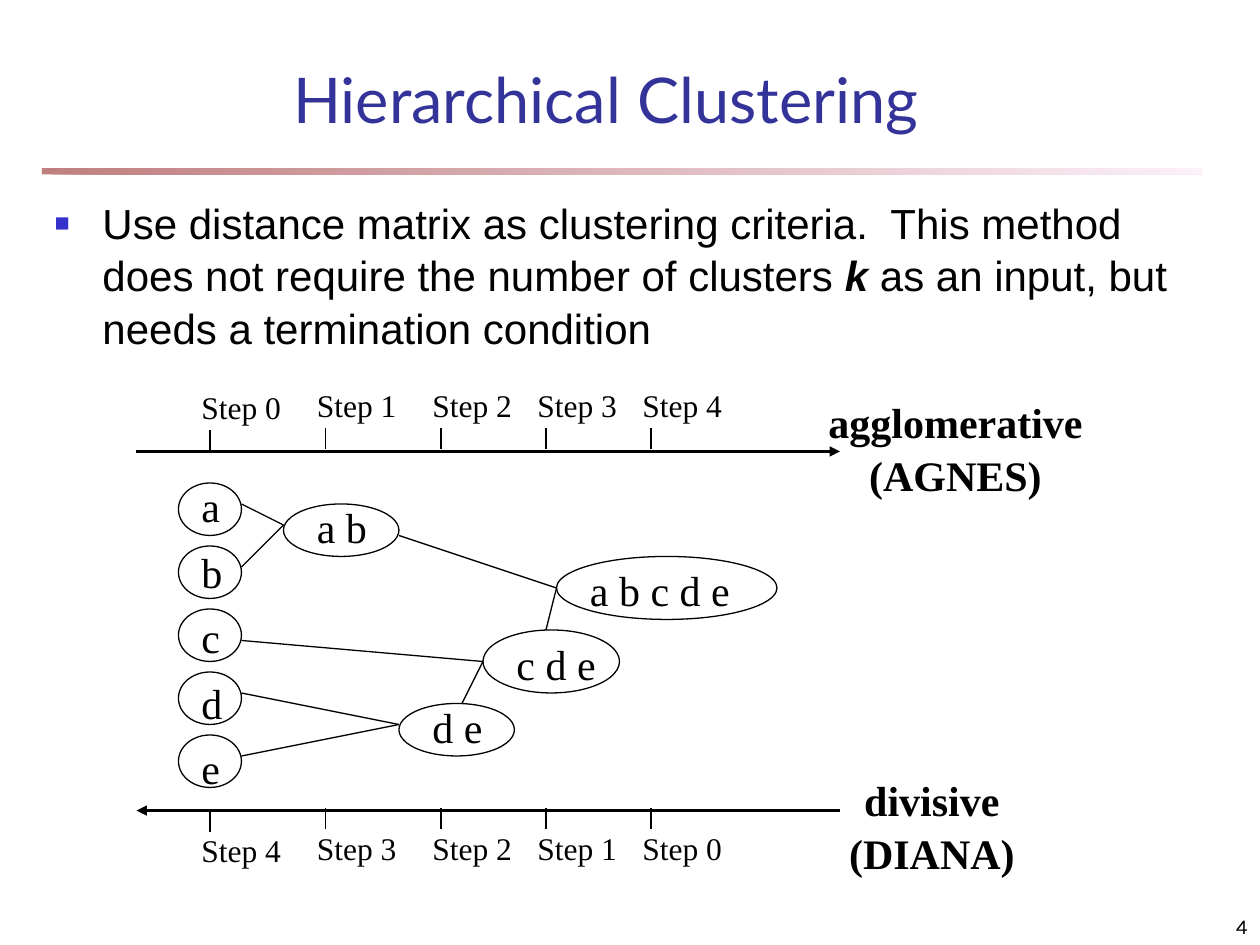
"""Build a slide on agglomerative and divisive hierarchical clustering."""
from dataclasses import dataclass

from lxml import etree
from pptx import Presentation
from pptx.dml.color import RGBColor
from pptx.enum.shapes import MSO_CONNECTOR, MSO_SHAPE
from pptx.enum.text import MSO_ANCHOR, MSO_AUTO_SIZE, PP_ALIGN
from pptx.oxml.ns import qn
from pptx.util import Inches, Pt

STRAIGHT = MSO_CONNECTOR.STRAIGHT
OVAL, RECT = MSO_SHAPE.OVAL, MSO_SHAPE.RECTANGLE
TOP, MIDDLE, BOTTOM = MSO_ANCHOR.TOP, MSO_ANCHOR.MIDDLE, MSO_ANCHOR.BOTTOM
LEFT, CENTER, RIGHT = PP_ALIGN.LEFT, PP_ALIGN.CENTER, PP_ALIGN.RIGHT


@dataclass(frozen=True)
class Theme:
    """Colours, fonts and type sizes."""
    ink: str = "000000"
    title: str = "333399"
    bullet: str = "3333CC"
    rule: tuple = ("800000", "FAE2F6")
    title_font: str = "Lato"
    body_font: str = "Arial"
    diagram_font: str = "Times New Roman"
    number_font: str = "Karla"
    title_size: int = 36
    body_size: int = 24
    step_size: int = 18
    number_size: int = 12


T = Theme()
COLS, ROWS = 120, 90
prs = Presentation()
prs.slide_width, prs.slide_height = Inches(10), Inches(7.5)
CELL = prs.slide_width / COLS
s = prs.slides.add_slide(prs.slide_layouts[1])


def text(paragraphs, box, sp=None, font=T.diagram_font, size=T.body_size, color=T.ink,
         bold=False, align=LEFT, anchor=TOP, wrap=True, spacing=1.04):
    """Write paragraphs, each a list of (text, emphasis) runs, in a box of grid cells."""
    left, top, width, height = (round(v * CELL) for v in box)
    sp = sp or s.shapes.add_textbox(left, top, width, height)
    sp.left, sp.top, sp.width, sp.height = left, top, width, height
    tf = sp.text_frame
    tf.auto_size, tf.word_wrap, tf.vertical_anchor = MSO_AUTO_SIZE.NONE, wrap, anchor
    for i, runs in enumerate(paragraphs):
        p = tf.add_paragraph() if i else tf.paragraphs[0]
        p.alignment, p.line_spacing = align, spacing
        for content, emphasis in runs:
            r = p.add_run()
            r.text = content
            r.font.name, r.font.size = font, Pt(size)
            r.font.bold, r.font.italic = bold or emphasis, emphasis
            r.font.color.rgb = RGBColor.from_string(color)
    return sp


def line(x1, y1, x2, y2, width=0.75, arrow=None):
    """Draw a line between grid points, with an arrow at headEnd or tailEnd."""
    c = s.shapes.add_connector(STRAIGHT, *(round(v * CELL) for v in (x1, y1, x2, y2)))
    c.line.color.rgb, c.line.width = RGBColor.from_string(T.ink), Pt(width)
    if arrow:
        etree.SubElement(c.line._ln, qn(f"a:{arrow}"), type="triangle")
    etree.SubElement(c._element.spPr, qn("a:effectLst"))


rule = s.shapes.add_shape(RECT, *(round(v * CELL) for v in (4, 16, 110.4, 0.6)))
rule.shadow.inherit = False
rule.line.fill.background()
rule.fill.gradient()
rule.fill.gradient_angle = 0
for stop, color in zip(rule.fill.gradient_stops, T.rule):
    stop.color.rgb = RGBColor.from_string(color)
for rgb in rule._element.spPr.iter(qn("a:srgbClr")):
    etree.SubElement(rgb, qn("a:alpha"), val="50000")

text([[("Hierarchical Clustering", False)]], (9.8, 6.5, 95.8, 5.8), s.shapes.title,
     font=T.title_font, size=T.title_size, color=T.title, align=CENTER, anchor=MIDDLE, spacing=1)

body = text([[("Use distance matrix as clustering criteria.  This method does not require "
               "the number of clusters ", False), ("k", True),
              (" as an input, but needs a termination condition", False)]],
            (4, 18, 109, 16), s.placeholders[1], font=T.body_font)
p = body.text_frame.paragraphs[0]
p.space_before = Pt(15)
pPr = p._p.get_or_add_pPr()
pPr.set("marL", str(Inches(0.38)))
pPr.set("indent", str(-Inches(0.38)))
etree.SubElement(etree.SubElement(pPr, qn("a:buClr")), qn("a:srgbClr"), val=T.bullet)
etree.SubElement(pPr, qn("a:buSzPct"), val="60000")
etree.SubElement(pPr, qn("a:buFont"), typeface=T.body_font)
etree.SubElement(pPr, qn("a:buChar"), char="■")

TICKS = (20, 31, 42, 52, 62)
AXES = [(43, 40.8, 36, "tailEnd", range(5)), (77.2, 77, 78.2, "headEnd", range(4, -1, -1))]
for axis_y, tick_y, label_y, arrow, steps in AXES:
    line(13, axis_y, 80, axis_y, width=1.5, arrow=arrow)
    for x, step in zip(TICKS, steps):
        drop = 0.2 if x == TICKS[0] else 0
        line(x, tick_y + drop, x, tick_y + drop + 2)
        text([[(f"Step {step}", False)]], (x - 2, label_y + drop, 10, 4.8), size=T.step_size)

CLUSTERS = [(name, (17, 46 + 6 * i, 6, 5), (18, 45 + 6.24 * i, 4.2, 6))
            for i, name in enumerate("abcde")]
CLUSTERS += [
    ("a b", (27, 48, 11, 5), (29, 47, 7.2, 6)),
    ("d e", (38, 67, 11, 5), (40, 66, 7.2, 6)),
    ("c d e", (46, 60, 13, 6), (48, 60, 10, 6)),
    ("a b c d e", (53, 53, 21, 6), (55, 53, 15.7, 6)),
]
for name, oval, label in CLUSTERS:
    sp = s.shapes.add_shape(OVAL, *(round(v * CELL) for v in oval))
    sp.shadow.inherit = False
    sp.fill.background()
    sp.line.color.rgb, sp.line.width = RGBColor.from_string(T.ink), Pt(0.75)
    text([[(name, False)]], label, wrap=False)

LINKS = [(23, 48, 27, 50), (23, 54, 27, 50), (23, 66, 38, 69), (23, 72, 38, 69),
         (23, 61, 46, 63), (44, 67, 46, 63), (38, 51, 53, 56), (52, 60, 53, 56)]
for link in LINKS:
    line(*link)

for method, acronym, box in [("agglomerative", "(AGNES)", (77.7, 37, 26.6, 10.8)),
                             ("divisive", "(DIANA)", (79.7, 73, 18.1, 10.8))]:
    text([[(method, False)], [(acronym, False)]], box, bold=True, align=CENTER, wrap=False)

text([[("4", False)]], (95, ROWS - 5, 25, 5), font=T.number_font, size=T.number_size,
     align=RIGHT, anchor=BOTTOM)

prs.save("out.pptx")
